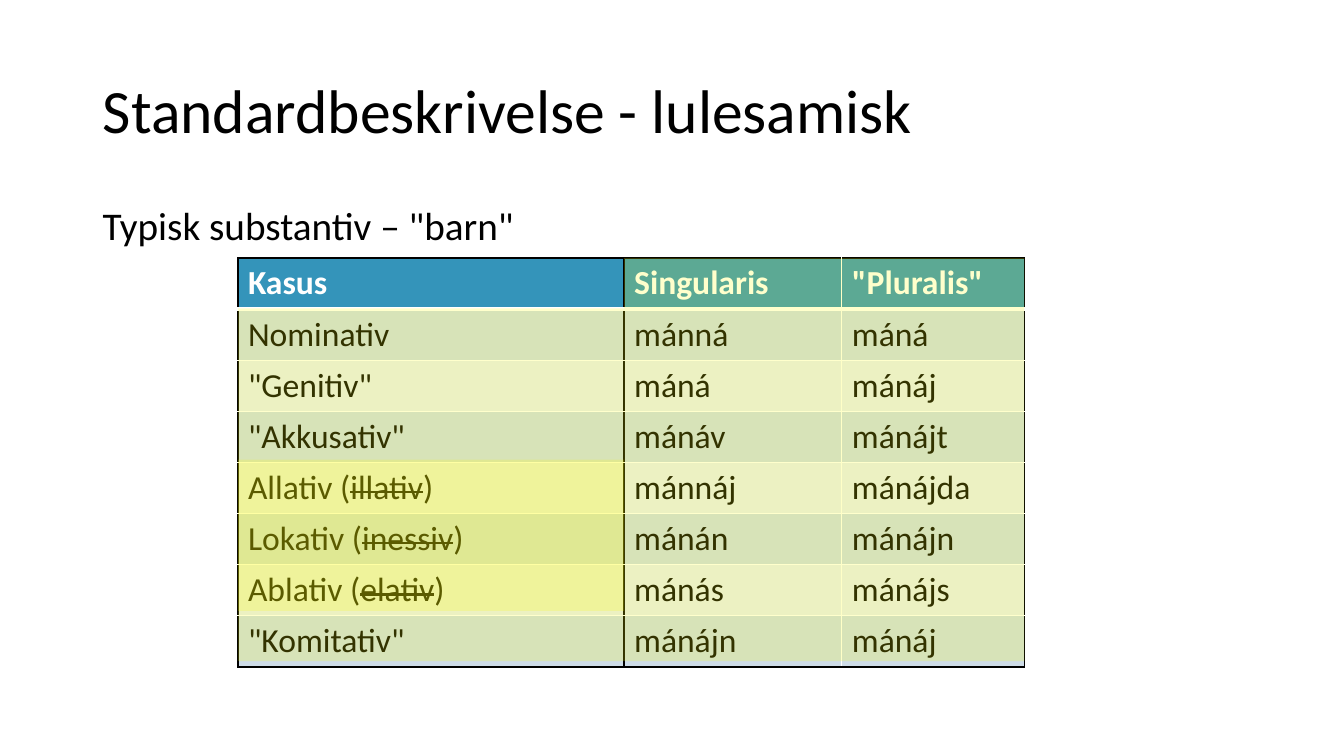
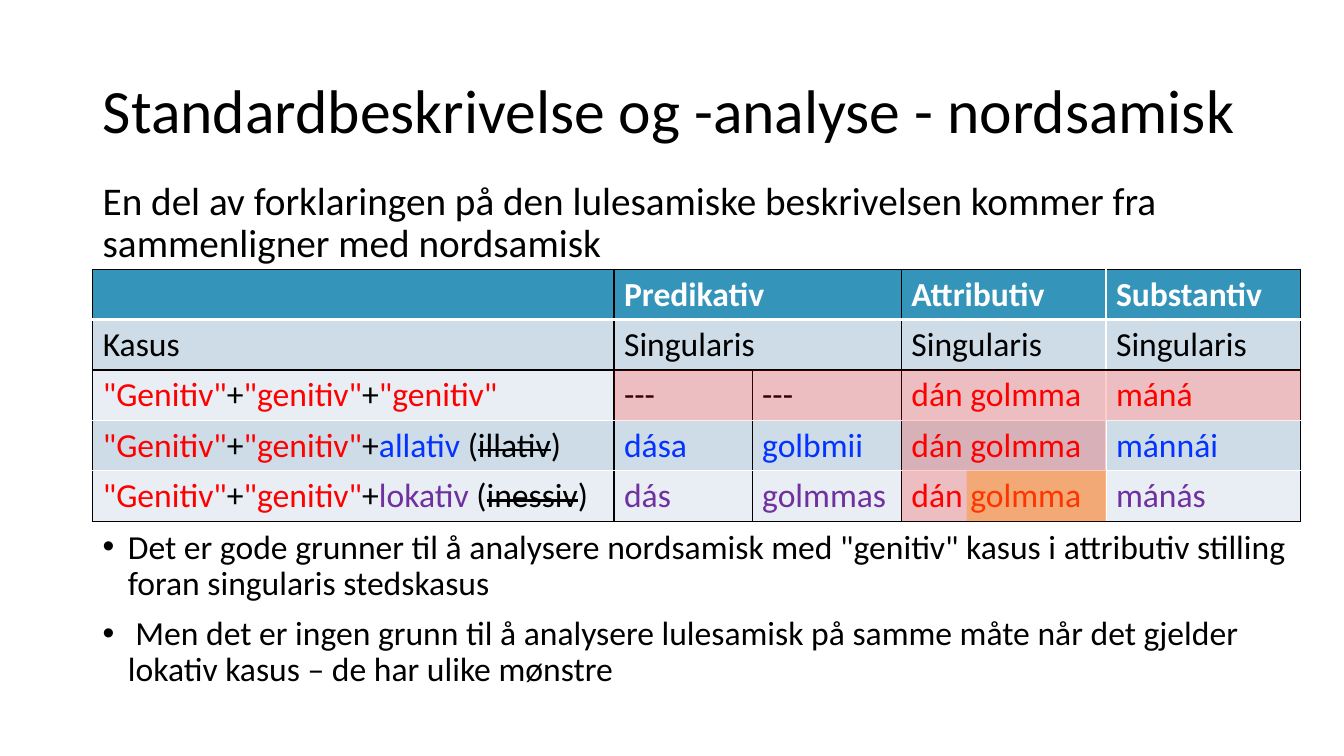
from typing import NamedTuple

from lxml.etree import SubElement
from pptx import Presentation
from pptx.dml.color import RGBColor
from pptx.enum.shapes import MSO_SHAPE as Shape
from pptx.enum.text import MSO_ANCHOR as Anchor, MSO_AUTO_SIZE as AutoSize, PP_ALIGN as Align
from pptx.oxml.ns import qn
from pptx.util import Emu, Inches, Pt

WIDTH, HEIGHT = 13.33, 7.5
MARGIN = 0.92
TITLE_WIDTH = 11.5
ROW_HEIGHT = 0.5
FONT = "Calibri"
BLACK, WHITE = "000000", "FFFFFF"
RED, BLUE, PURPLE, YELLOW = "FF0000", "0432FF", "7030A0", "FFFF00"
HEADER, BANDS = "3494BA", ("E8EEF3", "CEDCE7")
TITLE_ONLY = 5


class Span(NamedTuple):
    """A stretch of text with one look."""
    text: str
    color: str = BLACK
    struck: bool = False


def rgb(color):
    """Turn a hex string into a colour."""
    return RGBColor.from_string(color)


def add_spans(para, spans, size, bold=False):
    """Add the spans to a paragraph, run by run."""
    for span in spans:
        run = para.add_run()
        run.text = span.text
        run.font.name, run.font.size, run.font.bold = FONT, Pt(size), bold
        run.font.color.rgb = rgb(span.color)
        if span.struck:
            run.font._element.set("strike", "sngStrike")


def add_page(deck, title):
    """Add a title-only slide with its title in place."""
    page = deck.slides.add_slide(deck.slide_layouts[TITLE_ONLY])
    box = page.shapes.title
    box.left, box.top = Inches(MARGIN), Inches(0.4)
    box.width, box.height = Inches(TITLE_WIDTH), Inches(1.45)
    frame = box.text_frame
    frame.auto_size, frame.vertical_anchor = AutoSize.NONE, Anchor.MIDDLE
    para = frame.paragraphs[0]
    para.alignment, para.line_spacing = Align.LEFT, 0.9
    add_spans(para, [Span(title)], 44)
    return page


def add_body(page, top, width, height, texts, size, bullets=False):
    """Add a box of paragraphs, bulleted on request."""
    box = page.shapes.add_textbox(Inches(MARGIN), Inches(top), Inches(width), Inches(height))
    frame = box.text_frame
    frame.word_wrap = True
    for index, text in enumerate(texts):
        para = frame.add_paragraph() if index else frame.paragraphs[0]
        if bullets:
            props = para._p.get_or_add_pPr()
            props.set("marL", str(Inches(0.25)))
            props.set("indent", str(-Inches(0.25)))
            SubElement(props, qn("a:buFont"), typeface="Arial")
            SubElement(props, qn("a:buChar"), char="•")
        para.line_spacing, para.space_before = 0.9, Pt(10 if index else 0)
        add_spans(para, [Span(text)], size)


def add_border(cell, side, color, points):
    """Draw one side (L, R, T or B) of a cell."""
    line = SubElement(cell._tc.get_or_add_tcPr(), qn(f"a:ln{side}"), w=str(Pt(points)))
    fill = SubElement(line, qn("a:solidFill"))
    SubElement(fill, qn("a:srgbClr"), val=color)


def add_grid(page, left, top, widths, rows, black_columns, black_rows):
    """Add a banded table whose listed inner edges, and outline, are black."""
    last_row, last_column = len(rows), len(widths)
    frame = page.shapes.add_table(last_row, last_column, Inches(left), Inches(top),
                                  Inches(sum(widths)), Inches(ROW_HEIGHT * last_row))
    table = frame.table
    for column, width in zip(table.columns, widths):
        column.width = Inches(width)
    black_columns = {0, last_column, *black_columns}
    black_rows = {0, last_row, *black_rows}
    for r, row in enumerate(rows):
        for c, content in enumerate(row):
            cell = table.cell(r, c)
            for side, edge in (("L", c), ("R", c + 1)):
                add_border(cell, side, BLACK if edge in black_columns else WHITE, 1)
            for side, edge in (("T", r), ("B", r + 1)):
                add_border(cell, side, BLACK if edge in black_rows else WHITE, 3 if edge == 1 else 1)
            cell.fill.solid()
            cell.fill.fore_color.rgb = rgb(BANDS[r % 2] if r else HEADER)
            if isinstance(content, str):
                content = [Span(content, BLACK if r else WHITE)] if content else []
            add_spans(cell.text_frame.paragraphs[0], content, 24, bold=r == 0)
    return frame


def add_mark(page, grid, columns, rows, color, opacity):
    """Lay a translucent block between two column edges and two row edges of a grid."""
    widths = [column.width for column in grid.table.columns]

    def offset(edge):
        """Measure from the grid's left to a whole or fractional column edge."""
        whole = int(edge)
        part = widths[whole] * (edge - whole) if edge > whole else 0
        return sum(widths[:whole]) + part

    left, right = map(offset, columns)
    top, bottom = (Inches(ROW_HEIGHT * edge) for edge in rows)
    block = page.shapes.add_shape(Shape.RECTANGLE, Emu(int(grid.left + left)), grid.top + top,
                                  Emu(int(right - left)), bottom - top)
    block.shadow.inherit = False
    block.line.fill.background()
    block.fill.solid()
    block.fill.fore_color.rgb = rgb(color)
    tone = block._element.spPr.find(qn("a:solidFill")).find(qn("a:srgbClr"))
    SubElement(tone, qn("a:alpha"), val=str(opacity * 1000))


def renamed(name, rejected, color=BLACK):
    """Name a case, followed by the rejected name struck out."""
    return [Span(name, color), Span(" ("), Span(rejected, struck=True), Span(")")]


def after_genitives(ending):
    """Put two genitives before the last case of a chain."""
    return [Span('"Genitiv"', RED), Span("+"), Span('"genitiv"', RED), Span("+"), *ending]


def build_lule(deck):
    """Build the Lule Sami page."""
    page = add_page(deck, "Standardbeskrivelse - lulesamisk")
    rows = [
        ("Kasus", "Singularis", '"Pluralis"'),
        ("Nominativ", "mánná", "máná"),
        ('"Genitiv"', "máná", "mánáj"),
        ('"Akkusativ"', "mánáv", "mánájt"),
        (renamed("Allativ", "illativ"), "mánnáj", "mánájda"),
        (renamed("Lokativ", "inessiv"), "mánán", "mánájn"),
        (renamed("Ablativ", "elativ"), "mánás", "mánájs"),
        ('"Komitativ"', "mánájn", "mánáj"),
    ]
    grid = add_grid(page, 2.36, 2.56, (3.83, 2.16, 1.81), rows, {1}, set())
    add_body(page, 2, TITLE_WIDTH, 0.55, ['Typisk substantiv – "barn"'], 28)
    for columns, span in (((1, 2), (0, 8)), ((2, 3), (0, 8)), ((0, 1), (1, 8)), ((0, 1), (4, 7))):
        add_mark(page, grid, columns, span, YELLOW, 20)


def build_north(deck):
    """Build the North Sami page."""
    page = add_page(deck, "Standardbeskrivelse og -analyse - nordsamisk")
    widths = (5.17, 1.37, 1.48, 2.03, 1.93)
    add_body(page, 1.75, sum(widths), 0.95, [
        "En del av forklaringen på den lulesamiske beskrivelsen kommer fra "
        "sammenligner med nordsamisk"], 28)
    attribute = [Span("dán golmma", RED)]
    rows = [
        ("", "Predikativ", "", "Attributiv", "Substantiv"),
        ("Kasus", "Singularis", "", "Singularis", "Singularis"),
        (after_genitives([Span('"genitiv"', RED)]), "---", "---", attribute, [Span("máná", RED)]),
        (after_genitives(renamed("allativ", "illativ", BLUE)),
         [Span("dása", BLUE)], [Span("golbmii", BLUE)], attribute, [Span("mánnái", BLUE)]),
        (after_genitives(renamed("lokativ", "inessiv", PURPLE)),
         [Span("dás", PURPLE)], [Span("golmmas", PURPLE)], attribute, [Span("mánás", PURPLE)]),
    ]
    grid = add_grid(page, MARGIN, 2.67, widths, rows, {1, 2, 3}, {2})
    for r in (0, 1):
        grid.table.cell(r, 1).merge(grid.table.cell(r, 2))
    add_body(page, 5.21, sum(widths), 1.85, [
        'Det er gode grunner til å analysere nordsamisk med "genitiv" kasus i attributiv '
        "stilling foran singularis stedskasus",
        " Men det er ingen grunn til å analysere lulesamisk på samme måte når det gjelder "
        "lokativ kasus – de har ulike mønstre"], 24, bullets=True)
    noun = 3.32
    for columns, span, color, opacity in (
            ((1, 5), (2, 3), RED, 20),
            ((3, 4), (3, 4), RED, 20),
            ((noun, 4), (4, 5), YELLOW, 30),
            ((3, noun), (4, 5), RED, 20),
            ((noun, 4), (4, 5), RED, 30)):
        add_mark(page, grid, columns, span, color, opacity)


def main():
    """Build and save the deck."""
    deck = Presentation()
    deck.slide_width, deck.slide_height = Inches(WIDTH), Inches(HEIGHT)
    build_lule(deck)
    build_north(deck)
    deck.save("out.pptx")


if __name__ == "__main__":
    main()
